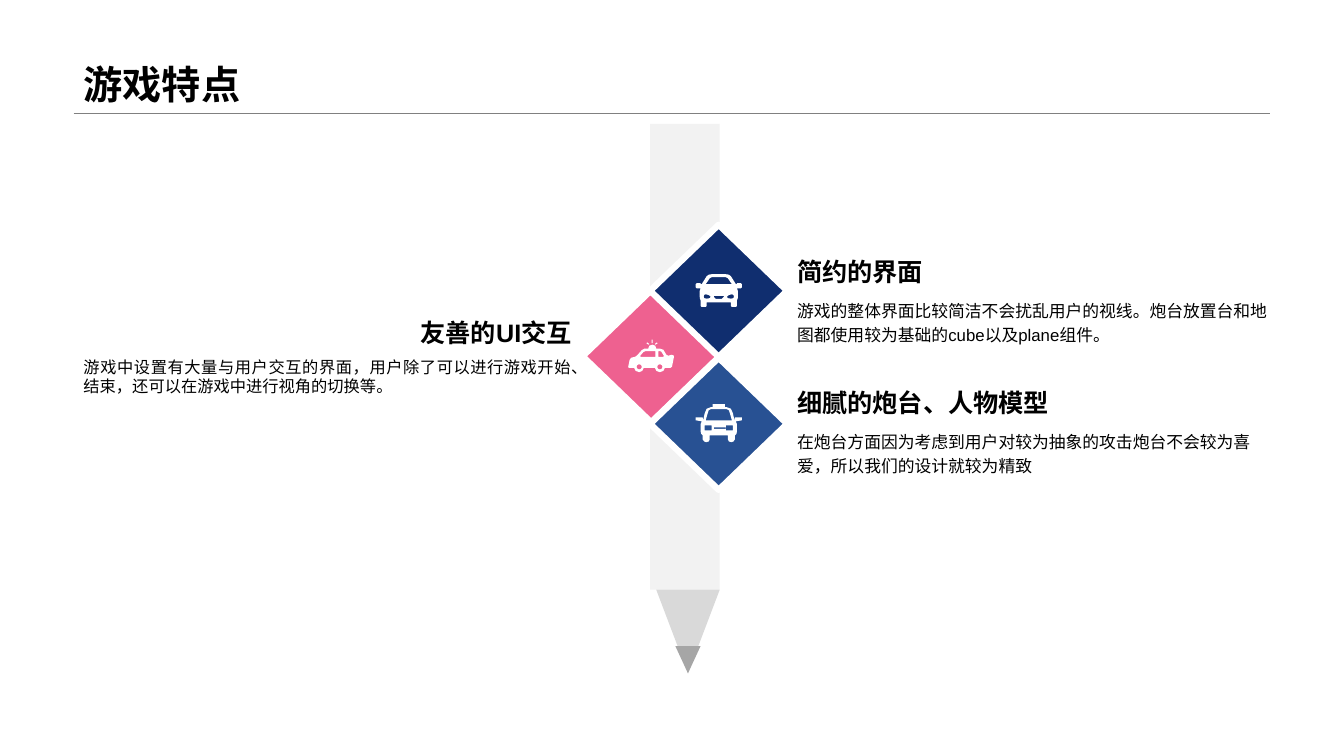
import math
from dataclasses import dataclass

import pptx
import pptx.dml.color
import pptx.enum.lang
import pptx.enum.shapes
import pptx.enum.text
import pptx.oxml
import pptx.oxml.ns
import pptx.util

Pt = pptx.util.Pt
SHAPES = pptx.enum.shapes.MSO_SHAPE
ALIGN = pptx.enum.text.PP_ALIGN
ANCHOR = pptx.enum.text.MSO_ANCHOR

Point = tuple[float, float]
Contour = list[Point]

FONT = "Arial"
MARGIN_LEFT, MARGIN_RIGHT = 52.56, 907.2
RULE_TOP = 80.64
DIAMOND_WIDTH, DIAMOND_HEIGHT = 97.92, 94.32
HEADING_HEIGHT = 33.84
ICON_UNIT = 0.72
ICON_INSET = 32.5
ICON_AXIS = 23


@dataclass
class PencilPart:
    preset: pptx.enum.shapes.MSO_SHAPE
    left: float
    top: float
    width: float
    height: float
    fill: str
    rotation: float = 0


@dataclass
class Feature:
    heading: str
    body: str
    fill: str
    diamond_left: float
    diamond_top: float
    icon: list[Contour]
    icon_drop: float
    text_left: float
    body_top: float
    body_width: float
    body_height: float
    body_size: float = 12
    line_spacing: float = 1.2
    heading_align: ALIGN = ALIGN.LEFT
    body_align: ALIGN = ALIGN.LEFT


def color(value: str) -> pptx.dml.color.RGBColor:
    return pptx.dml.color.RGBColor.from_string(value)


# Icon outlines, on a grid of ICON_UNIT points
def reflect(points: Contour) -> Contour:
    return [(2 * ICON_AXIS - x, y) for x, y in reversed(points)]


def symmetric(half: Contour) -> Contour:
    return half + reflect(half)


def box(left: float, top: float, right: float, bottom: float) -> Contour:
    return [(left, top), (right, top), (right, bottom), (left, bottom)]


def circle(x: float, y: float, radius: float) -> Contour:
    angles = [math.tau * step / 16 for step in range(16)]
    return [(x + radius * math.cos(a), y + radius * math.sin(a)) for a in angles]


headlight = [(11, 24.3), (8.5, 23.8), (8, 22), (8.5, 20.5), (10, 20),
             (13, 20.7), (15, 22.4), (14, 23.8)]
CAR = [
    symmetric([(23, 0), (16, 0), (13, 0.5), (11, 2), (8.5, 6), (6, 10), (5, 10),
               (5, 9), (1, 9), (0, 10), (0, 13), (1, 14), (5, 14), (4, 17),
               (4, 21), (4.2, 24), (5, 26), (5, 31.5), (6, 32.5), (10, 32.5),
               (11, 31.5), (11, 28)]),
    symmetric([(23, 3), (16, 3), (14, 4), (12, 7), (10, 10)]),
    symmetric([(23, 21.5), (18, 21.5), (18, 22.5), (20, 24.5), (23, 24.5)]),
    headlight,
    reflect(headlight),
]
TAXI = [
    symmetric([(23, 0), (17, 0), (17, 3), (15, 3), (11, 4.5), (9, 9), (7.5, 16),
               (7, 13), (0, 13), (0, 16), (6, 17), (5, 20), (5, 27), (5.5, 29.5),
               (7, 31), (7, 35), (8.5, 37), (10.5, 37.7), (13, 37), (14, 35),
               (14, 31)]),
    symmetric([(23, 5), (15, 5), (13, 6), (12, 9), (10, 16)]),
    box(9, 21, 16, 26),
    box(30, 21, 37, 26),
    box(18, 23, 30, 24.4),
]
POLICE_CAR = [
    [(24, 5), (27, 6), (28, 9), (32, 9), (35, 10), (38, 15), (40, 16), (43, 15),
     (45, 15.5), (45.5, 17), (43.5, 27), (42, 28), (36.5, 28), (35, 31),
     (31.5, 32.3), (28, 31), (26.5, 28), (15.5, 28), (14, 31), (11, 32.3),
     (7.5, 31), (6, 28), (1, 28), (0, 27.3), (1.5, 20), (3, 18), (7, 17),
     (9, 15.5), (13.5, 10.5), (16, 9), (20, 9), (21, 6)],
    [(30, 11.5), (32, 11.5), (33, 12), (35.5, 16), (35, 17), (30, 17)],
    [(17, 11.5), (27, 11.5), (27, 17), (12.3, 17), (12, 16), (15, 12.5)],
    circle(31.5, 27, 2.5),
    circle(11, 27, 2.5),
    box(23.3, 0, 24.3, 3.5),
    [(28.5, 2.8), (29.3, 3.6), (27.3, 5), (26.5, 4.3)],
    [(19, 2.8), (18.2, 3.6), (20.2, 5), (21, 4.3)],
]

PENCIL = [
    PencilPart(SHAPES.RECTANGLE, 464.4, 88.56, 49.68, 332.64, "F2F2F2"),
    PencilPart(SHAPES.ISOSCELES_TRIANGLE, 468.72, 421.2, 45.36, 59.76, "D9D9D9", 180),
    PencilPart(SHAPES.ISOSCELES_TRIANGLE, 482.4, 461.52, 18, 19.44, "A6A6A6", 180),
]
FEATURES = [
    Feature("友善的UI交互",
            "游戏中设置有大量与用户交互的界面，用户除了可以进行游戏开始、结束，还可以在游戏中进行视角的切换等。",
            "EE6190", 416.16, 207.36, POLICE_CAR, 35.28, MARGIN_LEFT, 251.64, 362.88,
            37.44, 11.6, 1, ALIGN.RIGHT, ALIGN.JUSTIFY),
    Feature("简约的界面",
            "游戏的整体界面比较简洁不会扰乱用户的视线。炮台放置台和地图都使用较为基础的cube以及plane组件。",
            "102E6F", 464.4, 160.56, CAR, 35.28, 562.32, 208.08, 354.24, 57.6),
    Feature("细腻的炮台、人物模型",
            "在炮台方面因为考虑到用户对较为抽象的攻击炮台不会较为喜爱，所以我们的设计就较为精致",
            "285193", 464.4, 255.6, TAXI, 33.12, 562.32, 301.68, 344.88, 66.96),
]


def format_text(shape, text: str, size: float, bold: bool, anchor: ANCHOR,
                align: ALIGN = ALIGN.LEFT, spacing: float = 1) -> None:
    frame = shape.text_frame
    frame.text = text
    frame.word_wrap = True
    frame.vertical_anchor = anchor
    paragraph = frame.paragraphs[0]
    paragraph.alignment = align
    paragraph.line_spacing = spacing
    font = paragraph.runs[0].font
    font.name, font.size, font.bold = FONT, Pt(size), bold
    font.color.rgb = color("000000")
    font.language_id = pptx.enum.lang.MSO_LANGUAGE_ID.SIMPLIFIED_CHINESE


def add_preset(slide, preset: SHAPES, left: float, top: float, width: float,
               height: float, fill: str):
    shape = slide.shapes.add_shape(preset, Pt(left), Pt(top), Pt(width), Pt(height))
    paint(shape, fill)
    return shape


def paint(shape, fill: str) -> None:
    shape.shadow.inherit = False
    shape.fill.solid()
    shape.fill.fore_color.rgb = color(fill)
    shape.line.fill.background()


def add_icon(slide, contours: list[Contour], left: float, top: float) -> None:
    # Ten local units per grid step keep the fractions
    scaled = [[(x * 10, y * 10) for x, y in contour] for contour in contours]
    builder = slide.shapes.build_freeform(*scaled[0][0], scale=Pt(ICON_UNIT / 10))
    builder.add_line_segments(scaled[0][1:], close=True)
    for contour in scaled[1:]:
        builder.move_to(*contour[0])
        builder.add_line_segments(contour[1:], close=True)
    paint(builder.convert_to_shape(Pt(left), Pt(top)), "FFFFFF")


def add_feature(slide, feature: Feature) -> None:
    diamond = add_preset(slide, SHAPES.DIAMOND, feature.diamond_left,
                         feature.diamond_top, DIAMOND_WIDTH, DIAMOND_HEIGHT, feature.fill)
    diamond.line.color.rgb = color("FFFFFF")
    diamond.line.width = Pt(4.5)
    add_icon(slide, feature.icon, feature.diamond_left + ICON_INSET,
             feature.diamond_top + feature.icon_drop)
    left = Pt(feature.text_left)
    heading = slide.shapes.add_textbox(left, Pt(feature.body_top - HEADING_HEIGHT),
                                       Pt(min(feature.body_width, 362.88)), Pt(HEADING_HEIGHT))
    format_text(heading, feature.heading, 18, True, ANCHOR.BOTTOM, feature.heading_align)
    body = slide.shapes.add_textbox(left, Pt(feature.body_top), Pt(feature.body_width),
                                    Pt(feature.body_height))
    format_text(body, feature.body, feature.body_size, False, ANCHOR.TOP,
                feature.body_align, feature.line_spacing)


def add_rule(slide) -> None:
    rule = slide.shapes.add_connector(pptx.enum.shapes.MSO_CONNECTOR.STRAIGHT,
                                      Pt(MARGIN_LEFT), Pt(RULE_TOP),
                                      Pt(MARGIN_RIGHT), Pt(RULE_TOP))
    rule.line.color.rgb = color("808080")
    rule.line.width = Pt(0.25)
    properties = rule._element.spPr
    properties.append(pptx.oxml.parse_xml(
        f"<a:effectLst {pptx.oxml.ns.nsdecls('a')}/>"))


def main() -> None:
    presentation = pptx.Presentation()
    presentation.slide_width, presentation.slide_height = Pt(960), Pt(540)
    slide = presentation.slides.add_slide(presentation.slide_layouts[5])

    # Title and rule
    title = slide.shapes.title
    title.left, title.top = Pt(MARGIN_LEFT), Pt(0)
    title.width, title.height = Pt(MARGIN_RIGHT - MARGIN_LEFT), Pt(RULE_TOP)
    format_text(title, "游戏特点", 28, True, ANCHOR.BOTTOM, spacing=0.9)
    add_rule(slide)

    # Pencil
    for part in PENCIL:
        shape = add_preset(slide, part.preset, part.left, part.top, part.width,
                           part.height, part.fill)
        shape.rotation = part.rotation

    # Features
    for feature in FEATURES:
        add_feature(slide, feature)

    presentation.save("out.pptx")


if __name__ == "__main__":
    main()
